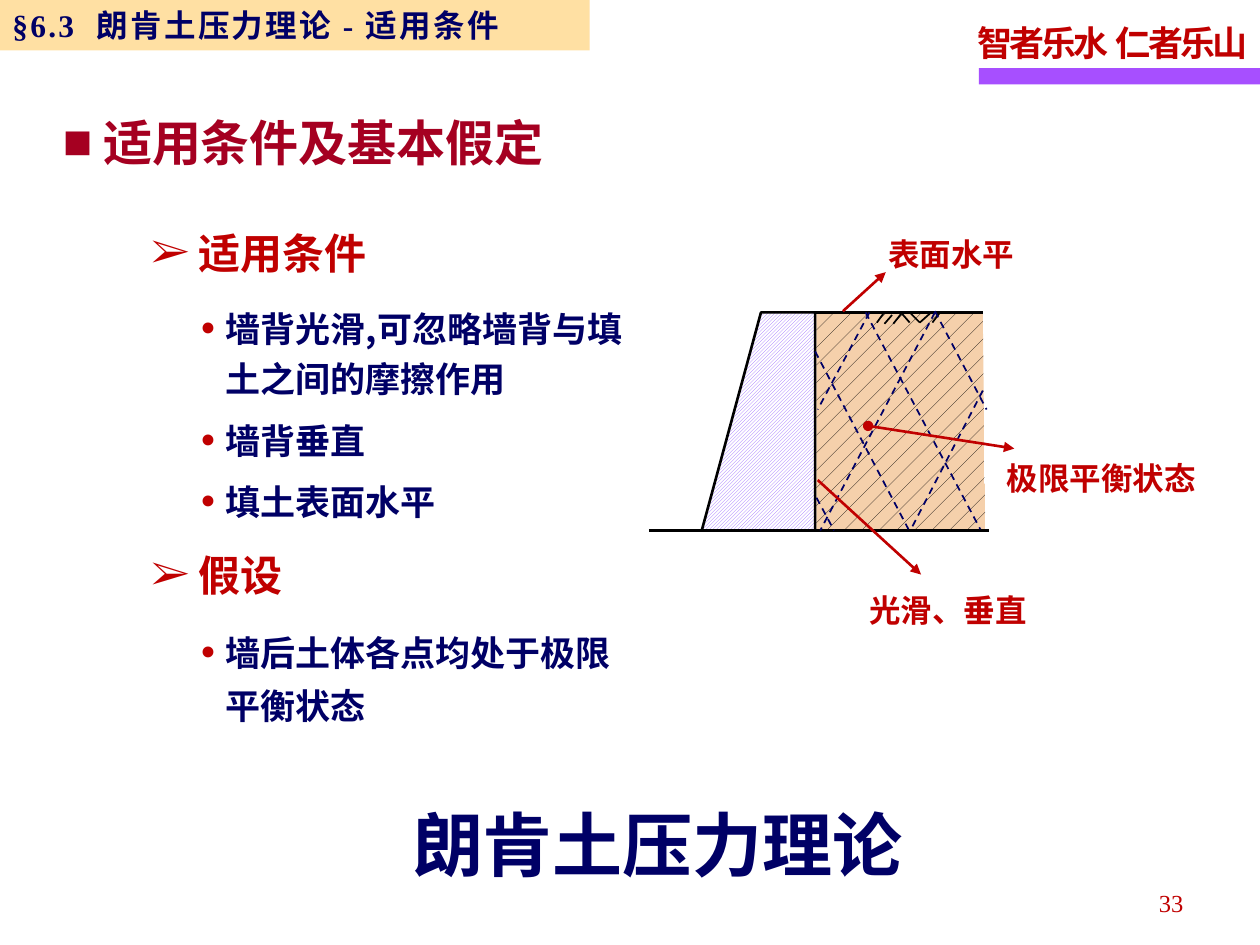
from lxml import etree
from pptx import Presentation
from pptx.dml.color import RGBColor
from pptx.enum.dml import MSO_LINE, MSO_PATTERN
from pptx.enum.shapes import MSO_CONNECTOR, MSO_SHAPE
from pptx.enum.text import MSO_ANCHOR, PP_ALIGN
from pptx.oxml.ns import qn
from pptx.util import Inches, Pt

STRAIGHT = MSO_CONNECTOR.STRAIGHT
RECTANGLE = MSO_SHAPE.RECTANGLE
DASH = MSO_LINE.DASH
DOTS = MSO_PATTERN.PERCENT_5
DIAGONAL = MSO_PATTERN.DARK_UPWARD_DIAGONAL
MIDDLE = MSO_ANCHOR.MIDDLE
LEFT, RIGHT = PP_ALIGN.LEFT, PP_ALIGN.RIGHT
HEI, SERIF = "Noto Sans CJK SC", "Times New Roman"
RED, CRIMSON, NAVY, BLACK = "C00000", "A50021", "000066", "000000"
NATURAL_LEADING = 1.21

SURFACE_MARKS = [
    (7.01, 2.49, 6.96, 2.56), (7.08, 2.5, 7.02, 2.57), (7.16, 2.48, 7.09, 2.57),
    (7.15, 2.48, 7.22, 2.56), (7.23, 2.49, 7.3, 2.56), (7.3, 2.56, 7.39, 2.48),
    (7.4, 2.56, 7.46, 2.48),
]
SLIP_LINES = [
    (7.42, 2.48, 6.51, 4.21), (7.8, 3.1, 7.23, 4.2), (6.48, 3.95, 6.62, 4.21),
    (7.42, 2.47, 7.83, 3.25), (6.87, 2.48, 7.78, 4.2), (6.47, 2.79, 7.21, 4.2),
    (6.9, 2.48, 6.49, 3.25),
]
CALLOUTS = [
    ("光滑、垂直", (6.8, 4.59, 1.47, 0.42), (6.49, 3.81, 7.31, 4.56), None),
    ("表面水平", (6.95, 1.77, 1.22, 0.45), (6.69, 2.47, 7.03, 2.16), None),
    ("极限平衡状态", (7.89, 3.55, 1.73, 0.42), (6.89, 3.38, 8.05, 3.56), "oval"),
]
CONDITIONS = [
    ("墙背光滑,可忽略墙背与填土之间的摩擦作用", 12),
    ("墙背垂直", 3),
    ("填土表面水平", 3),
]


def rgb(color):
    """Turn a hex string into a colour."""
    return RGBColor.from_string(color)


def add_bullet(paragraph, char, color, margin, hanging, percent=100):
    """Give a paragraph a hanging bullet."""
    props = paragraph._p.get_or_add_pPr()
    props.set("marL", str(Inches(margin)))
    props.set("indent", str(-Inches(hanging)))
    bullet_color = etree.SubElement(props, qn("a:buClr"))
    etree.SubElement(bullet_color, qn("a:srgbClr"), val=color)
    etree.SubElement(props, qn("a:buSzPct"), val=str(percent * 1000))
    etree.SubElement(props, qn("a:buFont"), typeface=SERIF)
    etree.SubElement(props, qn("a:buChar"), char=char)


def add_run(paragraph, text, size, color, font=HEI, bold=True, tracking=0):
    """Append one styled run."""
    run = paragraph.add_run()
    run.text = text
    run.font.size = Pt(size)
    run.font.bold = bold
    run.font.name = font
    run.font.color.rgb = rgb(color)
    props = run._r.get_or_add_rPr()
    etree.SubElement(props, qn("a:ea"), typeface=HEI)
    if tracking:
        props.set("spc", str(round(tracking * 100)))


def add_text_box(slide, box, wrap=True):
    """Add an empty text box and return its text frame."""
    frame = slide.shapes.add_textbox(*map(Inches, box)).text_frame
    frame.word_wrap = wrap
    return frame


def add_label(slide, box, text, size, color, ratio=1, wrap=False, **style):
    """Add a text box holding a single line."""
    paragraph = add_text_box(slide, box, wrap).paragraphs[0]
    paragraph.line_spacing = Pt(round(size * NATURAL_LEADING * ratio, 1))
    add_run(paragraph, text, size, color, **style)
    return paragraph


def add_bar(slide, box, color):
    """Add a plain filled rectangle."""
    bar = slide.shapes.add_shape(RECTANGLE, *map(Inches, box))
    bar.shadow.inherit = False
    bar.fill.solid()
    bar.fill.fore_color.rgb = rgb(color)
    bar.line.fill.background()
    return bar


def add_line(slide, ends, color, width, dash=None, head=None, tail=None):
    """Add a straight line with optional dashes and arrowheads."""
    line = slide.shapes.add_connector(STRAIGHT, *map(Inches, ends))
    line.line.color.rgb = rgb(color)
    line.line.width = Pt(width)
    if dash:
        line.line.dash_style = dash
    outline = line.line._get_or_add_ln()
    for tag, kind in (("a:headEnd", head), ("a:tailEnd", tail)):
        if kind:
            etree.SubElement(outline, qn(tag), type=kind)
    etree.SubElement(line._element.spPr, qn("a:effectLst"))


def add_hatched_area(slide, corners, pattern, ink, ground, outlined):
    """Add a closed polygon with a pattern fill."""
    points = [(Inches(x), Inches(y)) for x, y in corners]
    builder = slide.shapes.build_freeform(*points[0])
    builder.add_line_segments(points[1:], close=True)
    area = builder.convert_to_shape()
    area.shadow.inherit = False
    area.fill.patterned()
    area.fill.pattern = pattern
    area.fill.fore_color.rgb = rgb(ink)
    area.fill.back_color.rgb = rgb(ground)
    if outlined:
        area.line.color.rgb = rgb(BLACK)
        area.line.width = Pt(1.5)
    else:
        area.line.fill.background()


def add_section_header(slide):
    """Add the translucent section strip at the top left."""
    strip = add_bar(slide, (0, 0, 4.68, 0.4), "FFCC66")
    tint = strip._element.spPr.find(".//" + qn("a:srgbClr"))
    etree.SubElement(tint, qn("a:alpha"), val="60000")
    frame = strip.text_frame
    frame.vertical_anchor = MIDDLE
    frame.word_wrap = True
    paragraph = frame.paragraphs[0]
    paragraph.alignment = LEFT
    add_run(paragraph, "§6.3  朗肯土压力理论 - 适用条件", 18, NAVY, SERIF, tracking=1.3)


def add_outline(slide):
    """Add the bulleted conditions and assumption."""
    frame = add_text_box(slide, (1.1, 1.75, 3.98, 4.12))

    def add_heading(paragraph, text):
        """Fill a heading paragraph."""
        add_bullet(paragraph, "➢", RED, 0.38, 0.38)
        paragraph.line_spacing = Pt(29)
        add_run(paragraph, text, 24, RED)

    def add_point(text, before, after, leading):
        """Append a point under a heading."""
        paragraph = frame.add_paragraph()
        add_bullet(paragraph, "•", RED, 0.59, 0.2, 130)
        paragraph.line_spacing = Pt(leading)
        paragraph.space_before, paragraph.space_after = Pt(before), Pt(after)
        add_run(paragraph, text, 20, NAVY)

    add_heading(frame.paragraphs[0], "适用条件")
    for text, before in CONDITIONS:
        add_point(text, before, 3, 29)
    assumption = frame.add_paragraph()
    assumption.space_before = Pt(12)
    add_heading(assumption, "假设")
    add_point("墙后土体各点均处于极限平衡状态", 12, 0, 30.3)


def add_wall_diagram(slide):
    """Draw the retaining wall, the backfill and the callouts."""
    soil = [(6.48, 4.21), (6.48, 2.48), (7.8, 2.48), (7.82, 4.2)]
    wall = [(5.57, 4.21), (6.47, 4.21), (6.47, 2.48), (6.04, 2.48)]
    add_hatched_area(slide, soil, DOTS, BLACK, "F5D0AB", False)
    add_hatched_area(slide, wall, DIAGONAL, "9966FF", "FFFFFF", True)
    add_line(slide, (5.15, 4.21, 7.85, 4.21), BLACK, 1.5)
    for ends in SURFACE_MARKS:
        add_line(slide, ends, BLACK, 1)
    add_line(slide, (6.47, 2.48, 7.8, 2.48), BLACK, 1.5)
    for ends in SLIP_LINES:
        add_line(slide, ends, NAVY, 1, DASH)
    for text, box, ends, head in CALLOUTS:
        add_line(slide, ends, RED, 1.5, head=head, tail="triangle")
        add_label(slide, box, text, 18, RED, 1.15)


def main():
    """Build and save the slide."""
    deck = Presentation()
    deck.slide_width, deck.slide_height = Inches(10), Inches(7.5)
    slide = deck.slides.add_slide(deck.slide_layouts[6])
    add_bar(slide, (7.77, 0.54, 2.23, 0.13), "A74FFF")
    add_label(slide, (7.66, 0.07, 2.36, 0.49), "智者乐水  仁者乐山", 20, RED, 1.15,
              font=SERIF, tracking=-1.7)
    number = add_label(slide, (7.16, 6.96, 2.33, 0.4), "33", 14, RED, 1.15, True,
                       font=SERIF, bold=False)
    number.alignment = RIGHT
    title = add_label(slide, (0.4, 0.84, 5.22, 0.57), "适用条件及基本假定", 28,
                      CRIMSON, wrap=True)
    add_bullet(title, "■", CRIMSON, 0.32, 0.32)
    add_label(slide, (3.18, 6.31, 4.16, 0.77), "朗肯土压力理论", 40, NAVY, wrap=True)
    add_section_header(slide)
    add_outline(slide)
    add_wall_diagram(slide)
    deck.save("out.pptx")


if __name__ == "__main__":
    main()
